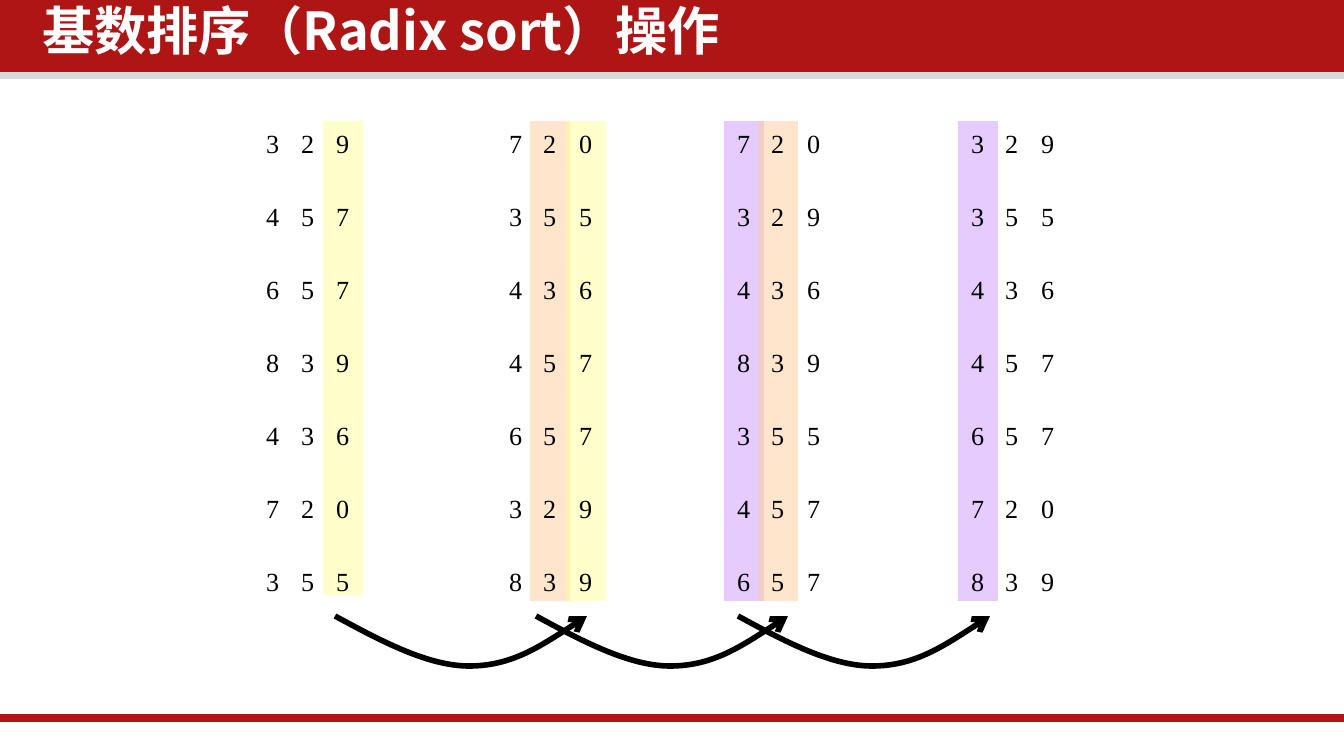
"""Build a slide that shows radix sort ordering seven numbers digit by digit."""
from dataclasses import dataclass

import pptx
import pptx.dml.color
import pptx.enum.shapes
import pptx.enum.text
import pptx.oxml.ns
import pptx.util
from lxml import etree

SCALE = 914400 / 134.4
COLORS = {
    "red": "AE1616", "gray": "D9D9D9", "white": "FFFFFF", "black": "000000",
    "yellow": "FFFF99", "orange": "FFCC99", "purple": "CC99FF",
}
CURVE = ((46, 25), (93, 50), (134, 50), (176, 50), (214, 25), (252, 0))
COLUMN_TOP, COLUMN_WIDTH = 121, 40
ARROW_TOP = 616


@dataclass(frozen=True)
class Stage:
    left: int
    numbers: str
    fills: tuple[str | None, str | None, str | None]
    offsets: tuple[int, int, int] = (0, 34, 70)
    height: int = 480


STAGES = (
    Stage(253, "329 457 657 839 436 720 355", (None, None, "yellow"), (0, 35, 70), 474),
    Stage(496, "720 355 436 457 657 329 839", (None, "orange", "yellow")),
    Stage(724, "720 329 436 839 355 457 657", ("purple", "orange", None)),
    Stage(958, "329 355 436 457 657 720 839", ("purple", None, None)),
)
ARROW_LEFTS = (335, 536, 738)


def px(n: int) -> int:
    return round(n * SCALE)


def rgb(name: str) -> pptx.dml.color.RGBColor:
    return pptx.dml.color.RGBColor.from_string(COLORS[name])


def sub(parent, tag: str, **attrs: str):
    return etree.SubElement(parent, pptx.oxml.ns.qn(tag), **attrs)


def add_rect(s, left: int, top: int, width: int, height: int, color: str):
    sp = s.shapes.add_shape(pptx.enum.shapes.MSO_SHAPE.RECTANGLE,
                            px(left), px(top), px(width), px(height))
    sp.shadow.inherit = False
    sp.fill.solid()
    sp.fill.fore_color.rgb = rgb(color)
    sp.line.fill.background()
    return sp


def add_column(s, left: int, height: int, digits: tuple[str, ...], fill: str | None) -> None:
    box = (left, COLUMN_TOP, COLUMN_WIDTH, height)
    if fill:
        sp = add_rect(s, *box, fill)
        color = sp.fill._xPr.find(".//" + pptx.oxml.ns.qn("a:srgbClr"))
        sub(color, "a:alpha", val="50000")
    else:
        sp = s.shapes.add_textbox(*map(px, box))
    tf = sp.text_frame
    tf.word_wrap = False
    tf.vertical_anchor = pptx.enum.text.MSO_ANCHOR.TOP
    tf.text = "\n".join(digits)
    for i, p in enumerate(tf.paragraphs):
        p.alignment = pptx.enum.text.PP_ALIGN.LEFT
        p.space_before = pptx.util.Pt(22.3 if i else 0)
        font = p.runs[0].font
        font.name = "Times New Roman"
        font.size = pptx.util.Pt(14)
        font.color.rgb = rgb("black")


def add_stage(s, stage: Stage) -> None:
    columns = zip(*stage.numbers.split())
    for offset, digits, fill in zip(stage.offsets, columns, stage.fills):
        add_column(s, stage.left + offset, stage.height, digits, fill)


def add_arrow(s, left: int) -> None:
    builder = s.shapes.build_freeform(px(left), px(ARROW_TOP))
    builder.add_line_segments([(px(left + x), px(ARROW_TOP + y)) for x, y in CURVE], close=False)
    sp = builder.convert_to_shape()
    sp.shadow.inherit = False
    sp.fill.background()
    sp.line.color.rgb = rgb("black")
    sp.line.width = pptx.util.Pt(3)
    sub(sp.line._get_or_add_ln(), "a:tailEnd", type="arrow")
    route = sp._element.find(".//" + pptx.oxml.ns.qn("a:path"))
    lines = route.findall(pptx.oxml.ns.qn("a:lnTo"))
    for i in range(0, len(lines), 3):
        curve = sub(route, "a:cubicBezTo")
        for line in lines[i:i + 3]:
            curve.append(line[0])
            route.remove(line)


def add_title(s, text: str) -> None:
    tf = s.shapes.add_textbox(px(32), px(0), px(1027), px(79)).text_frame
    tf.word_wrap = True
    tf.margin_left = tf.margin_right = px(10)
    tf.margin_top = tf.margin_bottom = px(5)
    tf.vertical_anchor = pptx.enum.text.MSO_ANCHOR.TOP
    tf.text = text
    p = tf.paragraphs[0]
    p.line_spacing = 0.9
    r = p.runs[0]
    r.font.name = "Noto Sans CJK SC"
    r.font.size = pptx.util.Pt(28)
    r.font.bold = True
    r.font.color.rgb = rgb("white")
    sub(r.font._element, "a:ea", typeface="Noto Sans CJK SC")


def add_footer_line(s) -> None:
    line = s.shapes.add_connector(pptx.enum.shapes.MSO_CONNECTOR.STRAIGHT,
                                  px(-3), px(718), px(1344), px(718))
    line.line.color.rgb = rgb("red")
    line.line.width = pptx.util.Pt(4)
    sub(line._element.spPr, "a:effectLst")


def main() -> None:
    prs = pptx.Presentation()
    prs.slide_width, prs.slide_height = px(1344), px(756)
    s = prs.slides.add_slide(prs.slide_layouts[6])
    add_rect(s, 0, 67, 1344, 12, "gray")
    add_rect(s, 0, 0, 1344, 72, "red")
    add_footer_line(s)
    for stage in STAGES:
        add_stage(s, stage)
    for left in ARROW_LEFTS:
        add_arrow(s, left)
    add_title(s, "基数排序（Radix sort）操作")
    prs.save("out.pptx")


if __name__ == "__main__":
    main()
